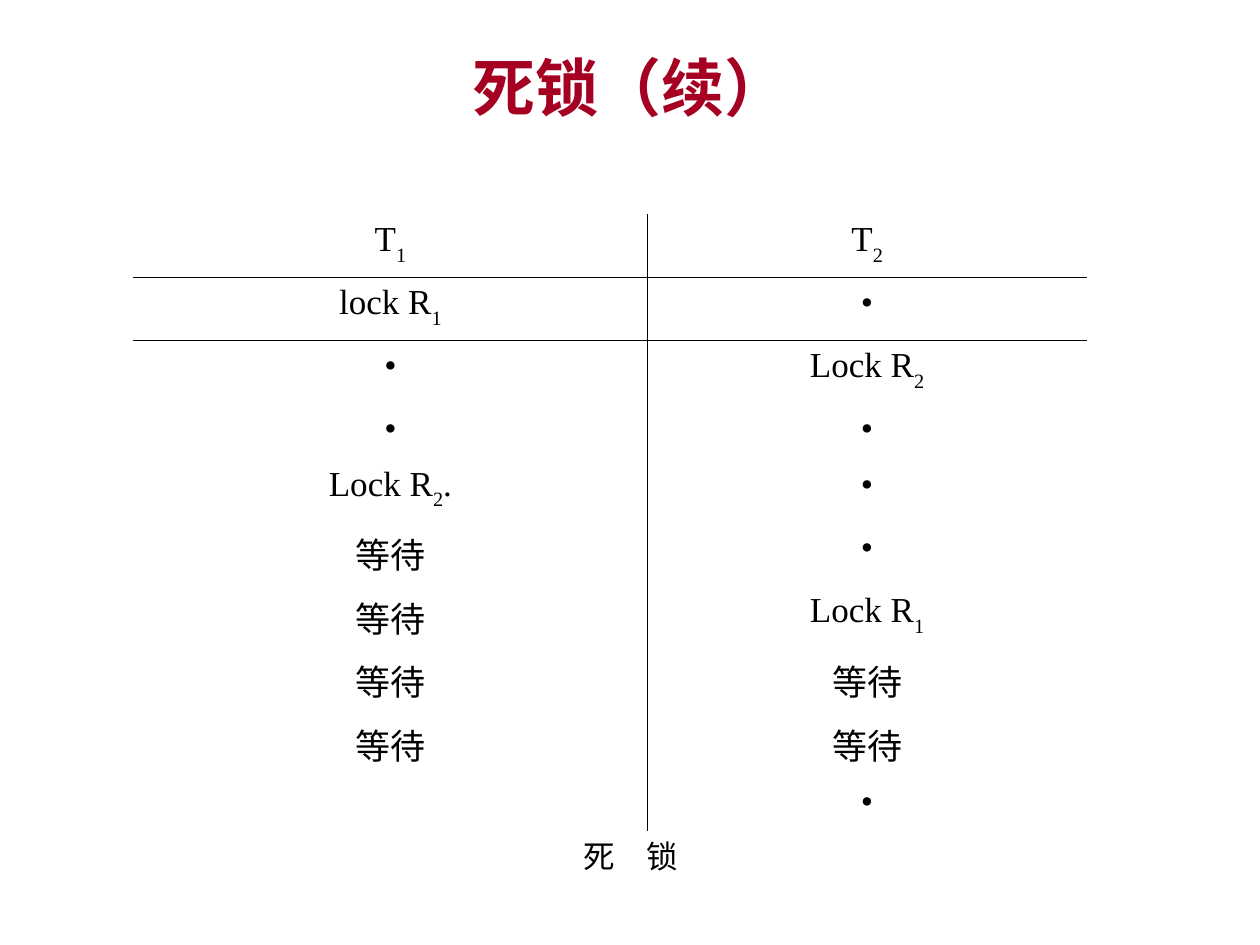
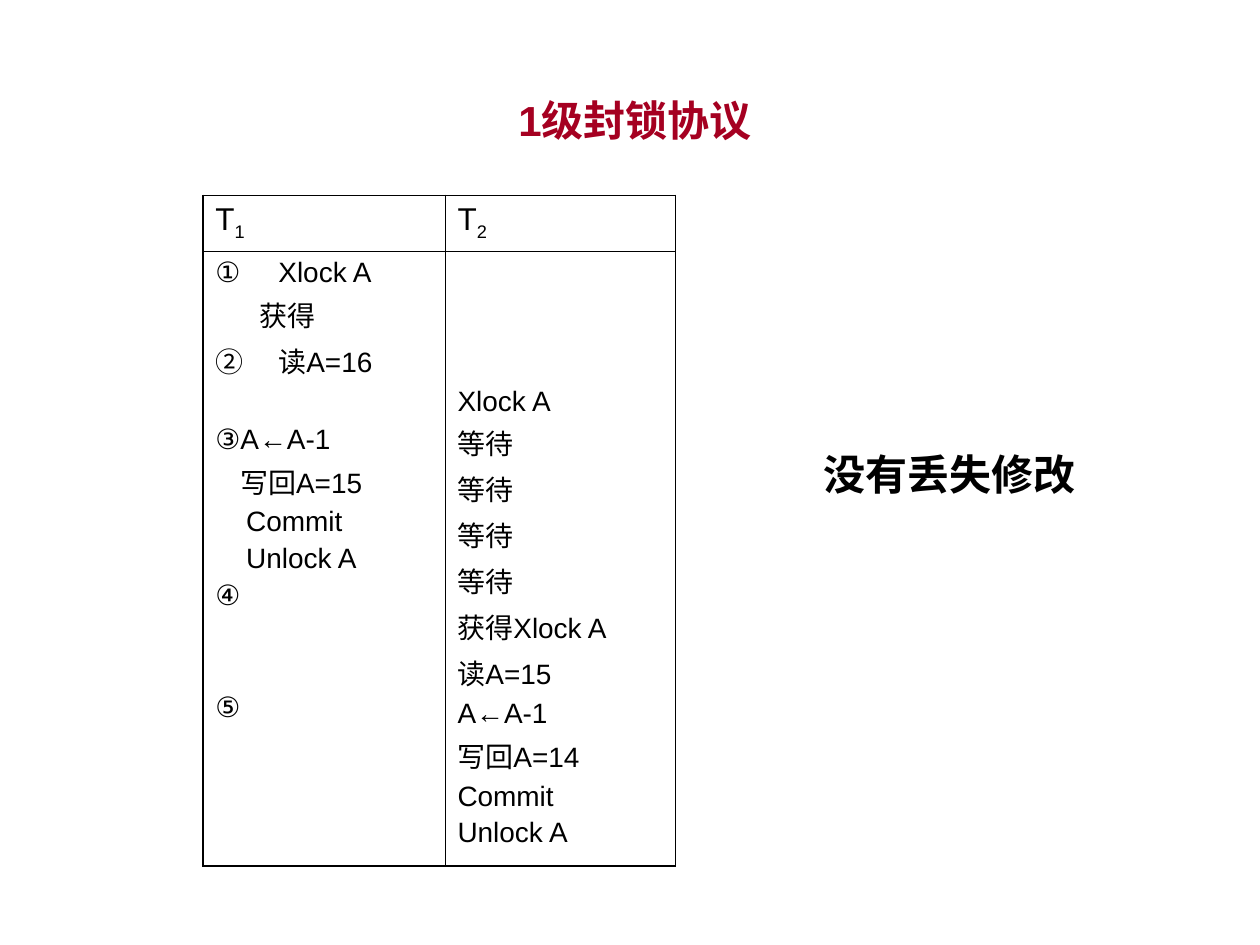
import pptx
import pptx.dml.color
import pptx.enum.lang
import pptx.enum.text
import pptx.oxml
import pptx.oxml.ns
import pptx.util
from dataclasses import dataclass

Cm = pptx.util.Cm
Pt = pptx.util.Pt
ALIGN = pptx.enum.text.PP_ALIGN
ANCHOR = pptx.enum.text.MSO_ANCHOR

DEADLOCK_TITLE = "死锁（续）"
DEADLOCK_STEPS = [
    ("T_1", "T_2"),
    ("lock R_1", "•"),
    ("•", "Lock R_2"),
    ("•", "•"),
    ("Lock R_2.", "•"),
    ("等待", "•"),
    ("等待", "Lock R_1"),
    ("等待", "等待"),
    ("等待", "等待"),
    ("", "•"),
]
DEADLOCK_CAPTION = "死　锁"

PROTOCOL_TITLE = "1级封锁协议"
PROTOCOL_HEADS = ["T_1", "T_2"]
# Each step: text, indent in cm, skipped lines before it
PROTOCOL_STEPS = [
    [
        ("①\tXlock A", 0, 0),
        ("获得", 0.89, 0),
        ("②\t读A=16", 0, 0),
        ("③A←A-1", 0, 1),
        ("写回A=15", 0.5, 0),
        ("Commit", 0.62, 0),
        ("Unlock A", 0.62, 0),
        ("④", 0, 0),
        ("⑤", 0, 2),
    ],
    [(text, 0, 0) for text in (
        "Xlock A", "等待", "等待", "等待", "等待", "获得Xlock A",
        "读A=15", "A←A-1", "写回A=14", "Commit", "Unlock A")],
]
PROTOCOL_TOP_MARGINS = [0.13, 2.72]
PROTOCOL_RESULT = "没有丢失修改"


@dataclass(frozen=True)
class Theme:
    red: str = "A50021"
    black: str = "000000"
    sans: str = "Arial"
    serif: str = "Times New Roman"
    title: int = 36
    subtitle: int = 24
    schedule: int = 20
    label: int = 18
    step: int = 16
    thin: float = 0.45
    thick: float = 1.08
    step_gap: float = 3.2
    skipped_line: float = 21.7
    step_tab: float = 0.81
    plain_table: str = "{2D5ABB26-0587-4C30-8999-92F81FD0307C}"


THEME = Theme()


def style(name, size, color=THEME.black, bold=False):
    return {"name": name, "size": Pt(size), "bold": bold, "color": color}


def write(paragraph, text, font_format, alignment, drop=-30):
    paragraph.alignment = alignment
    base, _, rest = text.partition("_")
    for part, baseline in ((base, 0), (rest[:1], drop), (rest[1:], 0)):
        if not part:
            continue
        run = paragraph.add_run()
        run.text = part
        values = {**font_format,
                  "language_id": pptx.enum.lang.MSO_LANGUAGE_ID.SIMPLIFIED_CHINESE}
        color = values.pop("color")
        for key, value in values.items():
            setattr(run.font, key, value)
        run.font.color.rgb = pptx.dml.color.RGBColor.from_string(color)
        if baseline:
            run.font._element.set("baseline", str(baseline * 1000))


def place(shape, box):
    for key, value in zip(("left", "top", "width", "height"), box):
        setattr(shape, key, Cm(value))


def add_titled_slide(presentation, title, box, size):
    slide = presentation.slides.add_slide(presentation.slide_layouts[5])
    shape = slide.shapes.title
    place(shape, box)
    frame = shape.text_frame
    frame.auto_size = pptx.enum.text.MSO_AUTO_SIZE.NONE
    frame.vertical_anchor = ANCHOR.MIDDLE
    write(frame.paragraphs[0], title, style(THEME.sans, size, THEME.red, True), ALIGN.CENTER)
    return slide


def add_label(slide, text, box, font_format, anchor):
    shape = slide.shapes.add_textbox(*map(Cm, box))
    shape.text_frame.word_wrap = False
    shape.text_frame.vertical_anchor = anchor
    write(shape.text_frame.paragraphs[0], text, font_format, ALIGN.CENTER)


def draw_border(cell, side, width):
    line = pptx.oxml.parse_xml(
        f'<a:ln{side} {pptx.oxml.ns.nsdecls("a")} w="{Pt(width)}"><a:solidFill>'
        f'<a:srgbClr val="{THEME.black}"/></a:solidFill></a:ln{side}>')
    cell._tc.get_or_add_tcPr().append(line)


def add_ruled_table(slide, left, top, columns, rows, verticals, horizontals):
    frame = slide.shapes.add_table(
        len(rows), len(columns), Cm(left), Cm(top), Cm(sum(columns)), Cm(sum(rows)))
    table = frame.table
    table.first_row = table.horz_banding = False
    table._tbl.tblPr.find(pptx.oxml.ns.qn("a:tableStyleId")).text = THEME.plain_table
    for column, width in zip(table.columns, columns):
        column.width = Cm(width)
    for row, height in zip(table.rows, rows):
        row.height = Cm(height)
    for r in range(len(rows)):
        for c in range(len(columns)):
            cell = table.cell(r, c)
            sides = {"L": verticals[c], "R": verticals[c + 1],
                     "T": horizontals[r], "B": horizontals[r + 1]}
            for side, width in sides.items():
                if width:
                    draw_border(cell, side, width)
            cell.fill.background()
    return table


def add_steps(cell, steps):
    frame = cell.text_frame
    for index, (text, indent, skipped) in enumerate(steps):
        paragraph = frame.add_paragraph() if index else frame.paragraphs[0]
        properties = paragraph._p.get_or_add_pPr()
        properties.set("marL", str(Cm(indent)))
        properties.set("indent", "0")
        if index:
            paragraph.space_before = Pt(THEME.step_gap + skipped * THEME.skipped_line)
        if "\t" in text:
            properties.append(pptx.oxml.parse_xml(
                f'<a:tabLst {pptx.oxml.ns.nsdecls("a")}>'
                f'<a:tab pos="{Cm(THEME.step_tab)}" algn="l"/></a:tabLst>'))
        write(paragraph, text, style(THEME.sans, THEME.step), ALIGN.JUSTIFY)


def build_deadlock(presentation):
    slide = add_titled_slide(
        presentation, DEADLOCK_TITLE, (1.27, 0.76, 22.86, 1.96), THEME.title)
    tall, short = 1.27, 1.12
    rows = [tall] * 3 + [short, tall] * 2 + [short] * 3
    table = add_ruled_table(
        slide, 2.69, 4.32, [10.36, 8.86], rows,
        [0, THEME.thin, 0], [0, THEME.thin] + [0] * (len(rows) - 1))
    for r, texts in enumerate(DEADLOCK_STEPS):
        for c, text in enumerate(texts):
            write(table.cell(r, c).text_frame.paragraphs[0], text,
                  style(THEME.serif, THEME.schedule), ALIGN.CENTER)
    add_label(slide, DEADLOCK_CAPTION, (10.59, 16.74, 4.24, 1.02),
              style(THEME.serif, THEME.label), ANCHOR.TOP)


def build_protocol(presentation):
    slide = add_titled_slide(
        presentation, PROTOCOL_TITLE, (2.54, 1.9, 20.52, 1.04), THEME.subtitle)
    edges = [THEME.thick, THEME.thin, THEME.thick]
    table = add_ruled_table(slide, 4.09, 3.94, [4.88, 4.65], [1.12, 12.4], edges, edges)
    for c, head in enumerate(PROTOCOL_HEADS):
        write(table.cell(0, c).text_frame.paragraphs[0], head,
              style(THEME.sans, THEME.label), ALIGN.LEFT, -25)
        table.cell(1, c).margin_top = Cm(PROTOCOL_TOP_MARGINS[c])
        add_steps(table.cell(1, c), PROTOCOL_STEPS[c])
    add_label(slide, PROTOCOL_RESULT, (15.54, 8.69, 7.19, 1.7),
              style(THEME.serif, THEME.subtitle, bold=True), ANCHOR.MIDDLE)


def main():
    presentation = pptx.Presentation()
    presentation.slide_width = Cm(25.4)
    presentation.slide_height = Cm(19.05)
    build_deadlock(presentation)
    build_protocol(presentation)
    presentation.save("out.pptx")


if __name__ == "__main__":
    main()
